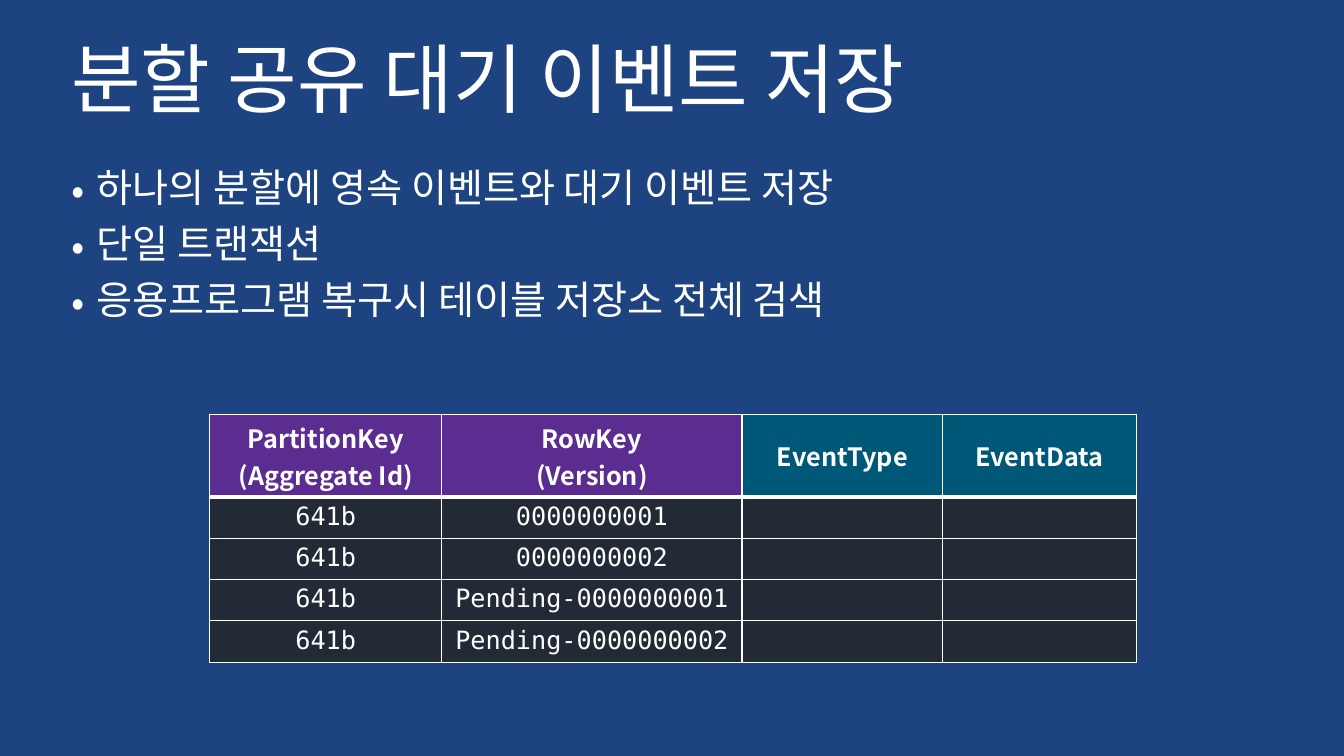
from lxml.etree import SubElement
from pptx import Presentation
from pptx.dml.color import RGBColor
from pptx.enum.text import MSO_ANCHOR as Anchor, PP_ALIGN as Align
from pptx.oxml.ns import qn
from pptx.util import Inches, Pt

COLORS = {
    "background": "1D4380",
    "text": "FFFFFF",
    "key": "5C2D91",
    "event": "005878",
    "body": "222A35",
}
SANS = "Noto Sans CJK KR"
MONO = "DejaVu Sans Mono"

TITLE = "분할 공유 대기 이벤트 저장"
POINTS = [
    "하나의 분할에 영속 이벤트와 대기 이벤트 저장",
    "단일 트랜잭션",
    "응용프로그램 복구시 테이블 저장소 전체 검색",
]
HEADERS = [
    (["PartitionKey", "(Aggregate Id)"], "key"),
    (["RowKey", "(Version)"], "key"),
    (["EventType"], "event"),
    (["EventData"], "event"),
]
AGGREGATE = "641b"
VERSIONS = ["0000000001", "0000000002", "Pending-0000000001", "Pending-0000000002"]
COLUMN_WIDTHS = [2.3, 2.98, 1.99, 1.92]
HEADER_HEIGHT, ROW_HEIGHT = 0.82, 0.41


class SlideBuilder:
    def __init__(self, deck):
        self.page = deck.slides.add_slide(deck.slide_layouts[6])
        fill = self.page.background.fill
        fill.solid()
        fill.fore_color.rgb = self.color("background")

    def color(self, name):
        return RGBColor.from_string(COLORS[name])

    def add_span(self, para, text, size, font=SANS, bold=False):
        span = para.add_run()
        span.text = text
        span.font.size = Pt(size)
        span.font.bold = bold
        span.font.name = font
        span.font.color.rgb = self.color("text")
        SubElement(span.font._element, qn("a:ea"), typeface=font)

    def add_text(self, left, top, width, height, lines, size, bulleted=False):
        box = self.page.shapes.add_textbox(
            Inches(left), Inches(top), Inches(width), Inches(height))
        frame = box.text_frame
        frame.word_wrap = True
        for index, line in enumerate(lines):
            para = frame.paragraphs[0] if index == 0 else frame.add_paragraph()
            para.line_spacing = 0.9
            if index:
                para.space_before = Pt(10)
            if bulleted:
                self.add_bullet(para)
            self.add_span(para, line, size)

    def add_bullet(self, para):
        properties = para._p.get_or_add_pPr()
        properties.set("marL", str(Inches(0.25)))
        properties.set("indent", str(-Inches(0.25)))
        SubElement(properties, qn("a:buFont"), typeface=SANS)
        SubElement(properties, qn("a:buChar"), char="•")

    def add_borders(self, cell, top=1, bottom=1):
        properties = cell._tc.get_or_add_tcPr()
        for side, width in (("L", 1), ("R", 1), ("T", top), ("B", bottom)):
            line = SubElement(properties, qn(f"a:ln{side}"), w=str(Pt(width)))
            paint = SubElement(line, qn("a:solidFill"))
            SubElement(paint, qn("a:srgbClr"), val=COLORS["text"])

    def fill_cell(self, cell, lines, fill, font=MONO, bold=False, top=1, bottom=1):
        self.add_borders(cell, top, bottom)
        cell.fill.solid()
        cell.fill.fore_color.rgb = self.color(fill)
        para = cell.text_frame.paragraphs[0]
        para.alignment = Align.CENTER
        for index, line in enumerate(lines):
            if index:
                para.add_line_break()
            self.add_span(para, line, 18, font, bold)

    def add_event_table(self, left, top):
        heights = [HEADER_HEIGHT] + [ROW_HEIGHT] * len(VERSIONS)
        table = self.page.shapes.add_table(
            len(heights), len(HEADERS), Inches(left), Inches(top),
            Inches(sum(COLUMN_WIDTHS)), Inches(sum(heights))).table
        table.horz_banding = False
        for column, width in zip(table.columns, COLUMN_WIDTHS):
            column.width = Inches(width)
        for row, height in zip(table.rows, heights):
            row.height = Inches(height)
        for column, (lines, fill) in enumerate(HEADERS):
            cell = table.cell(0, column)
            cell.vertical_anchor = Anchor.MIDDLE
            self.fill_cell(cell, lines, fill, SANS, bold=True, bottom=3)
        for row, version in enumerate(VERSIONS, start=1):
            for column, lines in enumerate([[AGGREGATE], [version], [], []]):
                self.fill_cell(table.cell(row, column), lines, "body",
                               top=3 if row == 1 else 1)


def main():
    deck = Presentation()
    deck.slide_width, deck.slide_height = Inches(13.33), Inches(7.5)
    builder = SlideBuilder(deck)
    builder.add_text(0.61, 0.37, 12.12, 1.05, [TITLE], 54)
    builder.add_text(0.61, 1.62, 12.12, 4.83, POINTS, 28, bulleted=True)
    builder.add_event_table(2.08, 4.11)
    deck.save("out.pptx")


if __name__ == "__main__":
    main()
